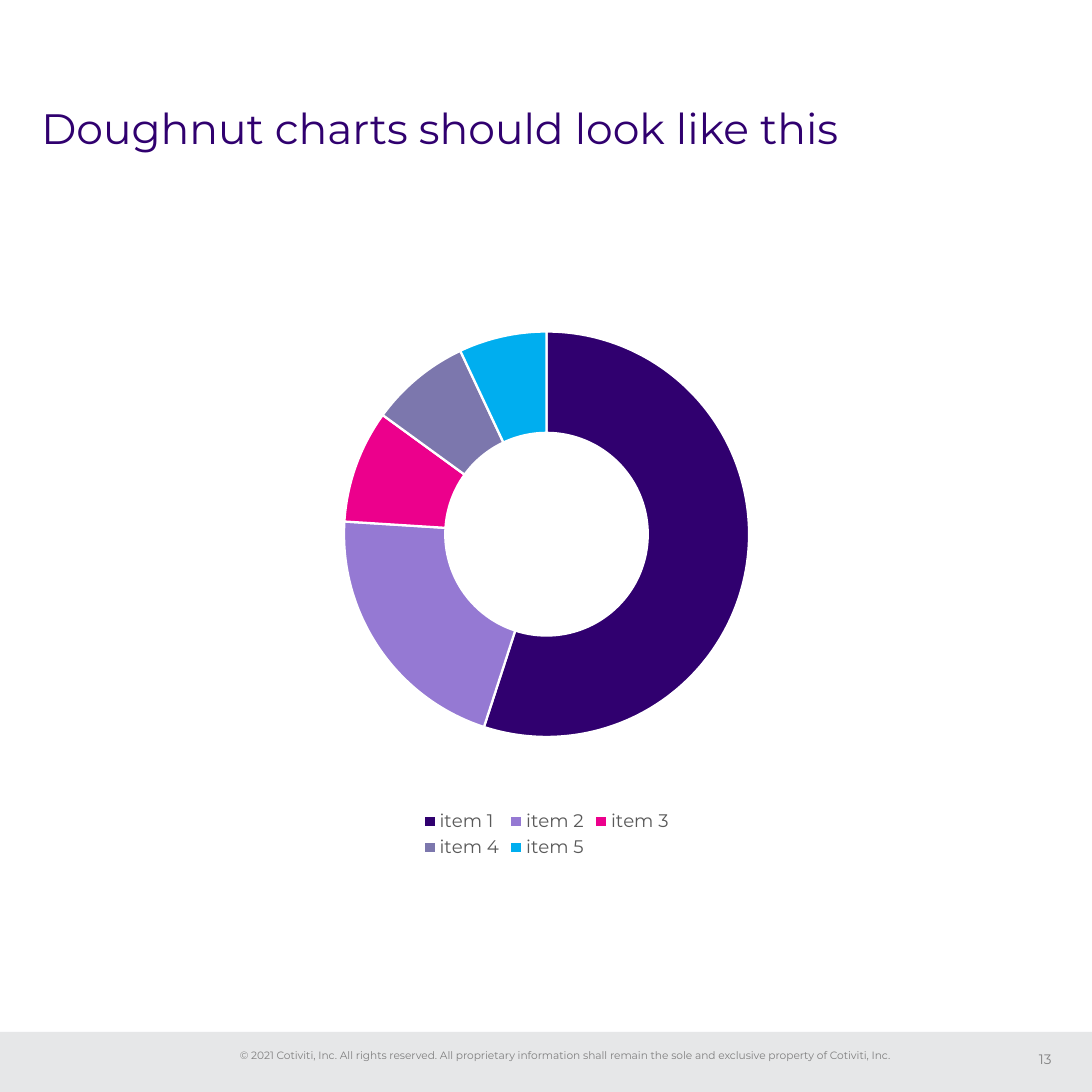
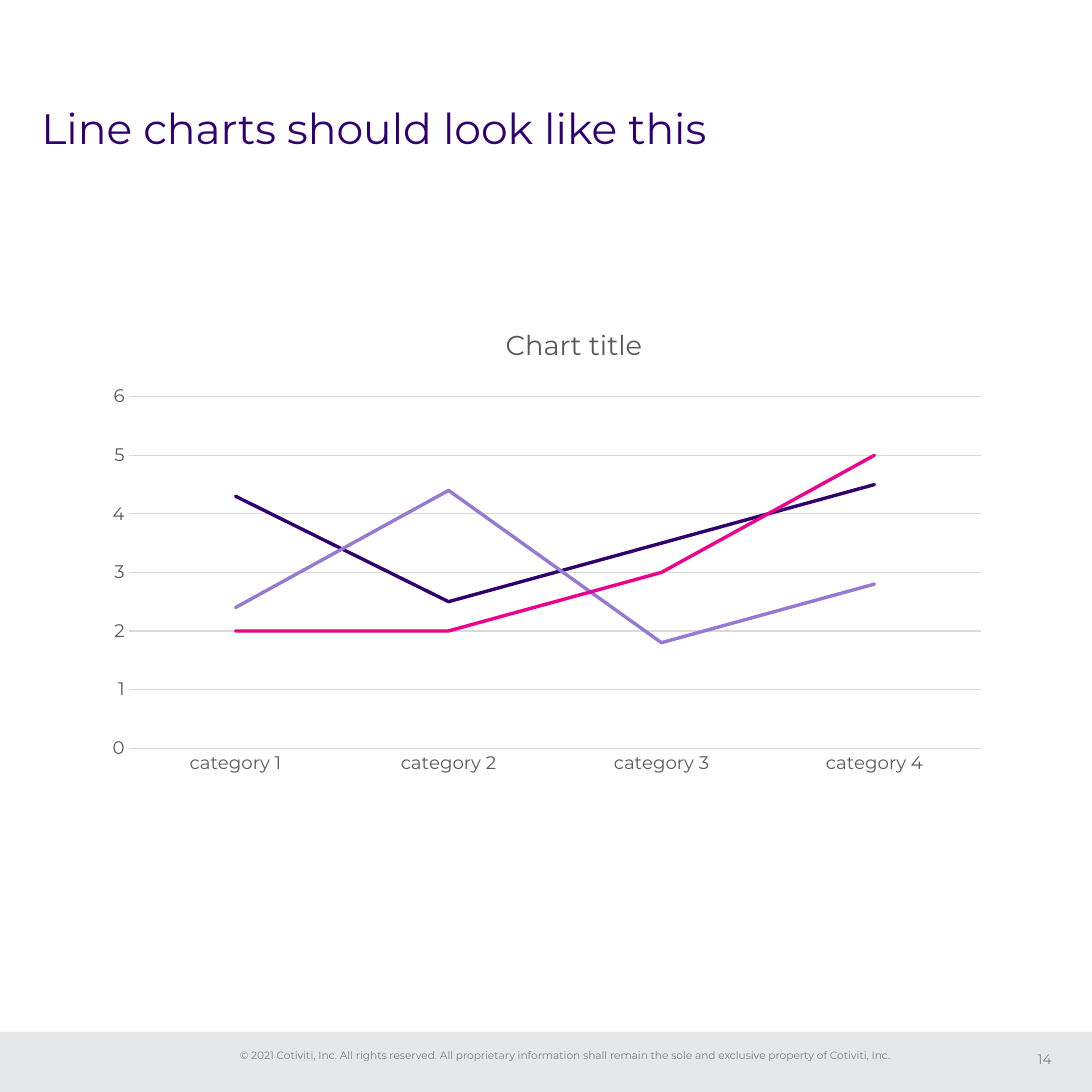
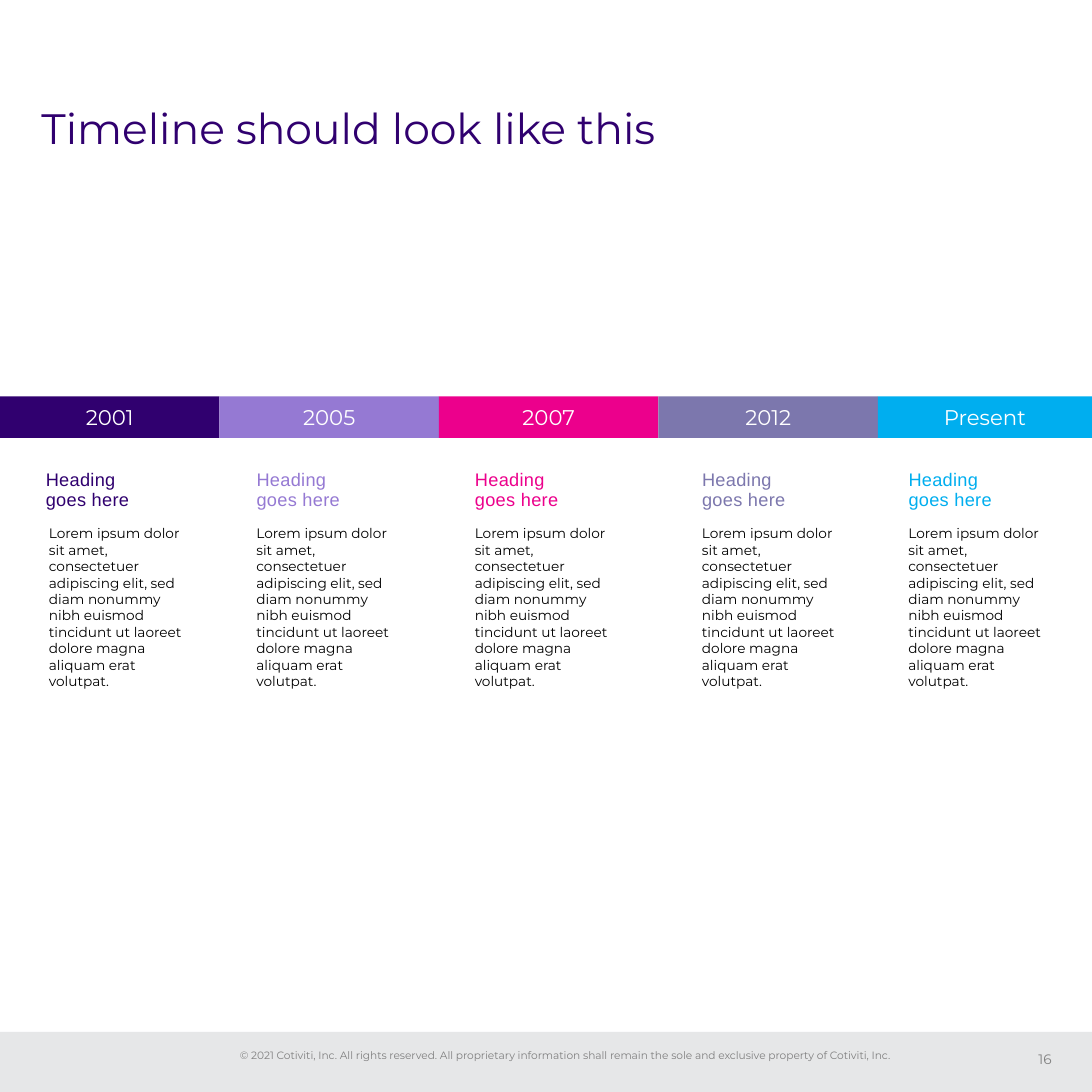
from lxml import etree
from pptx import Presentation
from pptx.chart.data import CategoryChartData
from pptx.dml.color import RGBColor
from pptx.enum.chart import XL_CHART_TYPE as ChartType
from pptx.enum.chart import XL_LEGEND_POSITION as LegendPosition
from pptx.enum.chart import XL_TICK_MARK as TickMark
from pptx.enum.shapes import MSO_SHAPE as Shape
from pptx.enum.text import MSO_ANCHOR as Anchor
from pptx.enum.text import PP_ALIGN as Align
from pptx.oxml.ns import qn
from pptx.util import Inches, Pt

# Shared style
INDIGO = RGBColor(0x30, 0x00, 0x6F)
LILAC = RGBColor(0x95, 0x79, 0xD3)
MAGENTA = RGBColor(0xEC, 0x00, 0x8C)
SLATE = RGBColor(0x7C, 0x77, 0xAD)
SKY = RGBColor(0x00, 0xAE, 0xEF)
PALETTE = [INDIGO, LILAC, MAGENTA, SLATE, SKY]
WHITE = RGBColor(0xFF, 0xFF, 0xFF)
BLACK = RGBColor(0x00, 0x00, 0x00)
BAND_GREY = RGBColor(0xE6, 0xE7, 0xE8)
FOOTER_GREY = RGBColor(0x80, 0x80, 0x80)
CHART_GREY = RGBColor(0x59, 0x59, 0x59)
GRID_GREY = RGBColor(0xD9, 0xD9, 0xD9)
FONT = "Montserrat"
HEADING_FONT = "Arial"
SIZE = 10
DEFAULT_INSETS = (0.1, 0.05)

COPYRIGHT = ("© 2021 Cotiviti, Inc. All rights reserved. All proprietary information "
             "shall remain the sole and exclusive property of Cotiviti, Inc.")
BODY = ("Lorem ipsum dolor sit amet, consectetuer adipiscing elit, sed diam nonummy "
        "nibh euismod tincidunt ut laoreet dolore magna aliquam erat volutpat.")


def set_font(font, size, color, name=FONT):
    font.size = Pt(size)
    font.name = name
    font.color.rgb = color


def write(shape, text, size, color, name=FONT, align=Align.LEFT, anchor=Anchor.TOP,
          insets=DEFAULT_INSETS, wrap=True, line_spacing=None):
    frame = shape.text_frame
    frame.word_wrap = wrap
    frame.vertical_anchor = anchor
    frame.margin_left = frame.margin_right = Inches(insets[0])
    frame.margin_top = frame.margin_bottom = Inches(insets[1])
    frame.text = text
    paragraph = frame.paragraphs[0]
    paragraph.alignment = align
    paragraph.line_spacing = line_spacing
    set_font(paragraph.font, size, color, name)
    return paragraph


def add_text(slide, box, text, size, color, **style):
    shape = slide.shapes.add_textbox(*map(Inches, box))
    return write(shape, text, size, color, **style)


def add_band(slide, box, color):
    shape = slide.shapes.add_shape(Shape.RECTANGLE, *map(Inches, box))
    shape.shadow.inherit = False
    shape.fill.solid()
    shape.fill.fore_color.rgb = color
    shape.line.fill.background()
    return shape


def add_base_slide(presentation, title, number):
    """Blank slide with title, footer band, copyright line and page number."""
    slide = presentation.slides.add_slide(presentation.slide_layouts[6])
    add_band(slide, (0, 9.45, SIZE, 0.55), BAND_GREY)
    add_text(slide, (2.04, 9.56, 6.27, 0.22), COPYRIGHT, 7, FOOTER_GREY,
             align=Align.CENTER, wrap=False)
    add_text(slide, (0.38, 0.53, 9.25, 1.33), title, 28, INDIGO,
             anchor=Anchor.MIDDLE, insets=(0, 0), line_spacing=0.9)
    add_text(slide, (9.23, 9.5, 0.4, 0.4), str(number), 9, FOOTER_GREY,
             align=Align.RIGHT, anchor=Anchor.MIDDLE, insets=(0, 0))
    return slide


# Charts
def set_layout(parent, index, **settings):
    """Place a chart part by hand, in fractions of the chart."""
    for old in parent.findall(qn("c:layout")):
        parent.remove(old)
    layout = etree.Element(qn("c:layout"))
    manual = etree.SubElement(layout, qn("c:manualLayout"))
    for tag, value in settings.items():
        etree.SubElement(manual, qn("c:" + tag)).set("val", str(value))
    parent.insert(index, layout)


def place_plot(chart, x, y, w, h):
    set_layout(chart.element.xpath("c:chart/c:plotArea")[0], 0, layoutTarget="inner",
               xMode="edge", yMode="edge", x=x, y=y, w=w, h=h)


def add_chart(slide, box, kind, categories, series):
    data = CategoryChartData()
    data.categories = categories
    for name, values in series.items():
        data.add_series(name, values)
    chart = slide.shapes.add_chart(kind, *map(Inches, box), data).chart
    set_font(chart.font, 12, CHART_GREY)
    chart.has_title = False
    chart.has_legend = False
    return chart


def add_doughnut(slide, box):
    categories = [f"item {i}" for i in range(1, 6)]
    chart = add_chart(slide, box, ChartType.DOUGHNUT, categories,
                      {"Series 1": (55, 21, 9, 8, 7)})
    place_plot(chart, 0, 0.07, 1, 0.71)
    plot = chart.plots[0]
    plot.has_data_labels = False
    chart.element.xpath(".//c:holeSize")[0].set("val", "65")
    for index, color in enumerate(PALETTE):
        style = plot.series[0].points[index].format
        style.fill.solid()
        style.fill.fore_color.rgb = color
        style.line.color.rgb = WHITE
        style.line.width = Pt(1.5)
    chart.has_legend = True
    chart.legend.position = LegendPosition.BOTTOM
    chart.legend.include_in_layout = False
    set_font(chart.legend.font, 12, CHART_GREY)


def add_line_chart(slide, box):
    categories = [f"category {i}" for i in range(1, 5)]
    chart = add_chart(slide, box, ChartType.LINE, categories,
                      {"Series 1": (4.3, 2.5, 3.5, 4.5),
                       "Series 2": (2.4, 4.4, 1.8, 2.8),
                       "Series 3": (2, 2, 3, 5)})
    place_plot(chart, 0.04, 0.18, 0.94, 0.74)
    plot = chart.plots[0]
    plot.vary_by_categories = False
    for series, color in zip(plot.series, PALETTE):
        series.smooth = False
        series.format.line.color.rgb = color
        series.format.line.width = Pt(2.25)
    for line in chart.element.xpath(".//c:ser/c:spPr/a:ln"):
        line.set("cap", "rnd")
        etree.SubElement(line, qn("a:round"))

    # Title
    title = chart.chart_title
    title.text_frame.text = "Chart title"
    font = title.text_frame.paragraphs[0].font
    set_font(font, 18, CHART_GREY)
    font.bold = False
    set_layout(chart.element.xpath("c:chart/c:title")[0], 1,
               xMode="edge", yMode="edge", x=0.45, y=0.02)

    # Axes
    value_axis, category_axis = chart.value_axis, chart.category_axis
    for axis in (value_axis, category_axis):
        axis.major_tick_mark = axis.minor_tick_mark = TickMark.NONE
        set_font(axis.tick_labels.font, 12, CHART_GREY)
    value_axis.minimum_scale, value_axis.maximum_scale = 0, 6
    value_axis.major_unit = 1
    value_axis.format.line.fill.background()
    for rule in (value_axis.major_gridlines.format.line, category_axis.format.line):
        rule.color.rgb = GRID_GREY
        rule.width = Pt(0.75)


# Timeline
def add_timeline(slide, box):
    left, top, width, height = box
    step = 2.01
    years = ["2001", "2005", "2007", "2012", "Present"]
    heading_lefts = [0.35, 2.28, 4.28, 6.36, 8.25]
    body_lefts = [0.35, 2.25, 4.25, 6.33, 8.22]
    columns = zip(years, PALETTE, heading_lefts, body_lefts)
    for index, (year, color, heading_left, body_left) in enumerate(columns):
        offset = index * step
        band = add_band(slide, (left + offset, top, min(step, width - offset), height), color)
        write(band, year, 14, WHITE, align=Align.CENTER, anchor=Anchor.MIDDLE)
        heading = add_text(slide, (left + heading_left, top + 0.64, 1.44, 0.44),
                           "Heading\vgoes here", 12, color, name=HEADING_FONT,
                           insets=(0.07, 0.04), line_spacing=0.9)
        heading.font._element.set("spc", "20")
        add_text(slide, (left + body_left, top + 1.13, 1.46, 1.62), BODY, 9, BLACK)


def main():
    presentation = Presentation()
    presentation.slide_width = presentation.slide_height = Inches(SIZE)
    pages = [
        ("Doughnut charts should look like this", 13, add_doughnut, (3.14, 2.67, 3.73, 5.23)),
        ("Line charts should look like this", 14, add_line_chart, (0.85, 2.85, 8.3, 4.35)),
        ("Timeline should look like this", 16, add_timeline, (0, 3.63, SIZE, 0.38)),
    ]
    for title, number, add_content, box in pages:
        add_content(add_base_slide(presentation, title, number), box)
    presentation.save("out.pptx")


if __name__ == "__main__":
    main()
